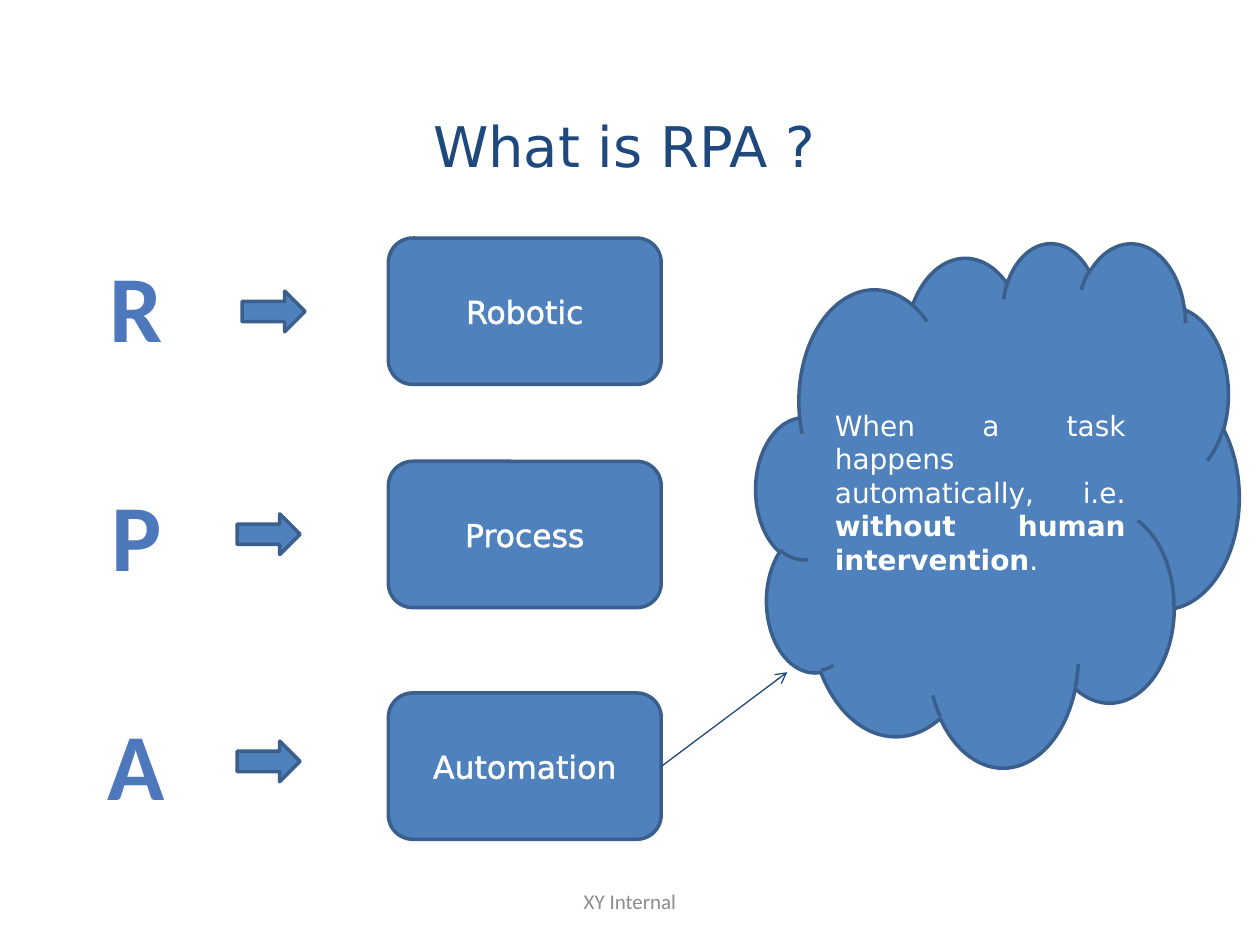
from lxml.etree import SubElement
from pptx import Presentation
from pptx.dml.color import RGBColor
from pptx.enum.shapes import MSO_CONNECTOR, MSO_SHAPE
from pptx.enum.text import MSO_ANCHOR, PP_ALIGN
from pptx.oxml import parse_xml
from pptx.oxml.ns import nsdecls, qn
from pptx.util import Cm, Pt

INK = {"navy": "1F497D", "blue": "4F81BD", "edge": "3A5F8C",
       "letter": "4D79BC", "white": "FFFFFF", "grey": "8C8C8C"}
ROWS = [("R", "Robotic", 4.8, 4.88, 5.87),
        ("P", "Process", 9.3, 4.78, 10.36),
        ("A", "Automation", 13.97, 4.78, 14.94)]


def color(name):
    return RGBColor.from_string(INK[name])


def write(shape, paras, size=18, ink="white", font="DejaVu Sans", bold=False,
          align=PP_ALIGN.CENTER, anchor=MSO_ANCHOR.MIDDLE, wrap=True,
          gap=0, stroke=False):
    frame = shape.text_frame
    frame.word_wrap = wrap
    frame.vertical_anchor = anchor
    for i, runs in enumerate(paras):
        para = frame.add_paragraph() if i else frame.paragraphs[0]
        para.alignment = align
        if i and gap:
            para.space_before = Pt(gap)
        for text, heavy in runs:
            run = para.add_run()
            run.text = text
            run.font.name = font
            run.font.size = Pt(size)
            run.font.bold = bold or heavy
            run.font.color.rgb = color(ink)
            if stroke:
                outline(run, ink)


def outline(run, ink):
    line = parse_xml(
        f'<a:ln {nsdecls("a")} w="18415"><a:solidFill>'
        f'<a:srgbClr val="{INK[ink]}"/></a:solidFill></a:ln>')
    run.font._element.insert(0, line)


def label(slide, box, paras, **style):
    shape = slide.shapes.add_textbox(*map(Cm, box))
    write(shape, paras, **style)


def block(slide, kind, box):
    shape = slide.shapes.add_shape(kind, *map(Cm, box))
    shape.shadow.inherit = False
    shape.fill.solid()
    shape.fill.fore_color.rgb = color("blue")
    shape.line.color.rgb = color("edge")
    shape.line.width = Pt(2)
    return shape


def arrow(slide, ends):
    link = slide.shapes.add_connector(MSO_CONNECTOR.STRAIGHT, *map(Cm, ends))
    link.line.color.rgb = color("navy")
    link.line.width = Pt(0.75)
    SubElement(link.line._get_or_add_ln(), qn("a:tailEnd"), type="arrow")
    SubElement(link._element.spPr, qn("a:effectLst"))


def main():
    deck = Presentation()
    deck.slide_width, deck.slide_height = Cm(25.4), Cm(19.05)
    slide = deck.slides.add_slide(deck.slide_layouts[6])

    label(slide, (1.06, 2.12, 23.06, 1.62), [[("What is RPA ?", False)]],
          size=32, ink="navy", anchor=MSO_ANCHOR.TOP)
    label(slide, (1.91, 4.88, 1.68, 11.79),
          [[(row[0], True)] for row in ROWS], size=54, ink="letter",
          font="Calibri", anchor=MSO_ANCHOR.TOP, wrap=False, gap=66)

    for _, word, top, left, level in ROWS:
        block(slide, MSO_SHAPE.RIGHT_ARROW, (left, level, 1.27, 0.82))
        card = block(slide, MSO_SHAPE.ROUNDED_RECTANGLE,
                     (7.83, top, 5.5, 2.95))
        write(card, [[(word, False)]], stroke=True)

    cloud = block(slide, MSO_SHAPE.CLOUD, (15.24, 4.88, 9.74, 10.57))
    write(cloud, [[("When a task happens automatically, i.e. ", False),
                   ("without human intervention", True), (".", False)]],
          size=16, align=PP_ALIGN.JUSTIFY)
    arrow(slide, (13.33, 15.45, 15.87, 13.55))
    label(slide, (8.68, 17.66, 8.04, 1.01), [[("XY Internal", False)]],
          size=12, ink="grey", font="Calibri")
    deck.save("out.pptx")


main()
